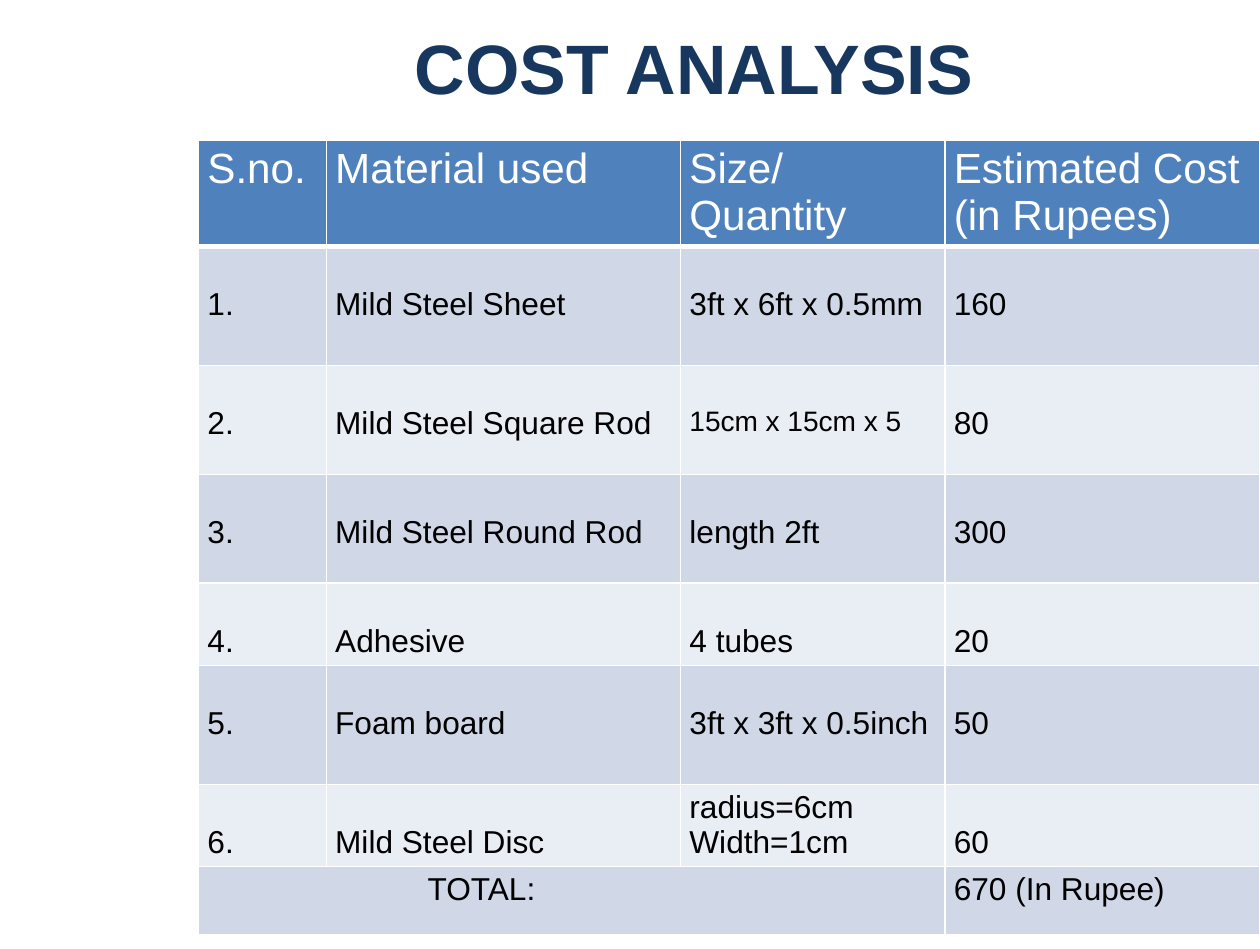
from lxml.etree import SubElement
from pptx import Presentation
from pptx.dml.color import RGBColor
from pptx.enum.text import MSO_ANCHOR, PP_ALIGN
from pptx.oxml.ns import qn
from pptx.util import Inches, Pt

FONT = "Arial"
WHITE, BLACK, NAVY = "FFFFFF", "000000", "17375E"
HEADER_BLUE, BANDS = "4F81BD", ("D0D8E8", "E9EDF4")

COLUMN_WIDTHS = (1.01, 2.8, 2.09, 2.49)
ROW_HEIGHTS = (0.84, 0.94, 0.86, 0.86, 0.65, 0.94, 0.65, 0.54)
HEADINGS = ("S.no.", "Material used", "Size/Quantity", "Estimated Cost\n(in Rupees)")
MATERIALS = (
    ("Mild Steel Sheet", "3ft x 6ft x 0.5mm", "160"),
    ("Mild Steel Square Rod", "15cm x 15cm x 5", "80"),
    ("Mild Steel Round Rod", "length 2ft", "300"),
    ("Adhesive", "4 tubes", "20"),
    ("Foam board", "3ft x 3ft x 0.5inch", "50"),
    ("Mild Steel Disc", "radius=6cm\nWidth=1cm", "60"),
)
TOTAL = "670 (In Rupee)"
MARGIN, LOWERED, TOTAL_INDENT = 0.04, 0.32, 1.81


def color(value):
    return RGBColor.from_string(value)


def format_text(frame, size, text_color, bold=False):
    for para in frame.paragraphs:
        for span in para.runs:
            span.font.name = FONT
            span.font.size = Pt(size)
            span.font.bold = bold
            span.font.color.rgb = color(text_color)


def set_borders(cell, bottom_width):
    properties = cell._tc.get_or_add_tcPr()
    for side, width in (("L", 1), ("R", 1), ("T", 1), ("B", bottom_width)):
        line = SubElement(properties, qn(f"a:ln{side}"), w=str(Pt(width)))
        fill = SubElement(line, qn("a:solidFill"))
        SubElement(fill, qn("a:srgbClr"), val=WHITE)


def fill_cell(cell, text, fill, size=18, text_color=BLACK, top=MARGIN, left=0.07, bottom_width=1):
    set_borders(cell, bottom_width)
    cell.fill.solid()
    cell.fill.fore_color.rgb = color(fill)
    cell.margin_left, cell.margin_right = Inches(left), Inches(0.07)
    cell.margin_top, cell.margin_bottom = Inches(top), Inches(MARGIN)
    cell.text_frame.text = text
    format_text(cell.text_frame, size, text_color)


def place_title(slide, left, top, width, height):
    title = slide.shapes.title
    title.left, title.top = Inches(left), Inches(top)
    title.width, title.height = Inches(width), Inches(height)
    frame = title.text_frame
    frame.text = "COST ANALYSIS"
    frame.vertical_anchor = MSO_ANCHOR.MIDDLE
    frame.margin_left = Inches(1.48)
    frame.paragraphs[0].alignment = PP_ALIGN.LEFT
    format_text(frame, 39.8, NAVY, bold=True)


def place_cost_table(slide, left, top):
    table = slide.shapes.add_table(
        len(ROW_HEIGHTS), len(COLUMN_WIDTHS), Inches(left), Inches(top),
        Inches(sum(COLUMN_WIDTHS)), Inches(sum(ROW_HEIGHTS))).table
    for column, width in zip(table.columns, COLUMN_WIDTHS):
        column.width = Inches(width)
    for row, height in zip(table.rows, ROW_HEIGHTS):
        row.height = Inches(height)

    for column, heading in enumerate(HEADINGS):
        fill_cell(table.cell(0, column), heading, HEADER_BLUE, 24, WHITE, bottom_width=3)

    for number, material in enumerate(MATERIALS, start=1):
        for column, text in enumerate((f"{number}.", *material)):
            fill_cell(table.cell(number, column), text, BANDS[(number - 1) % 2],
                      size=16 if text.startswith("15cm") else 18,
                      top=MARGIN if "\n" in text else LOWERED)

    last = len(ROW_HEIGHTS) - 1
    table.cell(last, 0).merge(table.cell(last, 2))
    fill_cell(table.cell(last, 0), "TOTAL:", BANDS[0], left=TOTAL_INDENT)
    fill_cell(table.cell(last, 3), TOTAL, BANDS[0])


def main():
    deck = Presentation()
    deck.slide_width, deck.slide_height = Inches(9.96), Inches(7.5)
    slide = deck.slides.add_slide(deck.slide_layouts[5])
    place_title(slide, 1.8, -0.06, 8.19, 1.17)
    place_cost_table(slide, 1.57, 1.11)
    deck.save("out.pptx")


if __name__ == "__main__":
    main()
